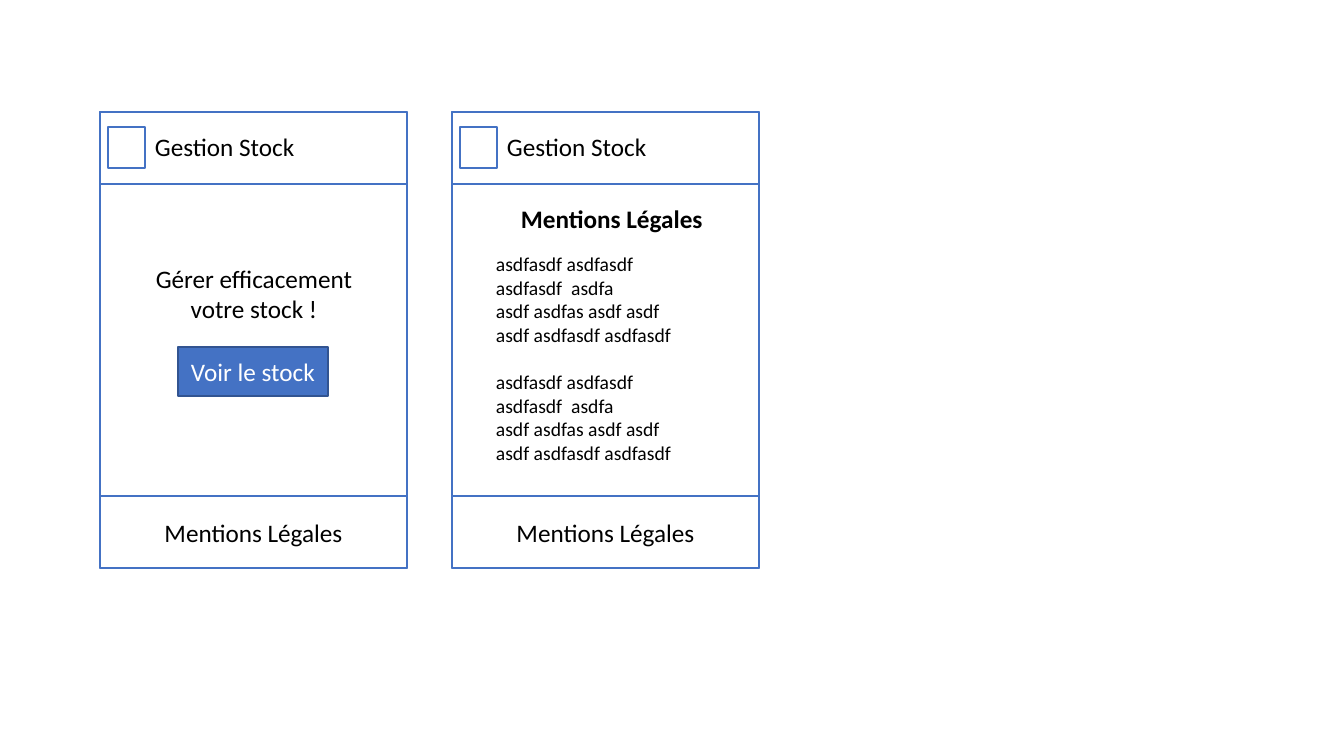
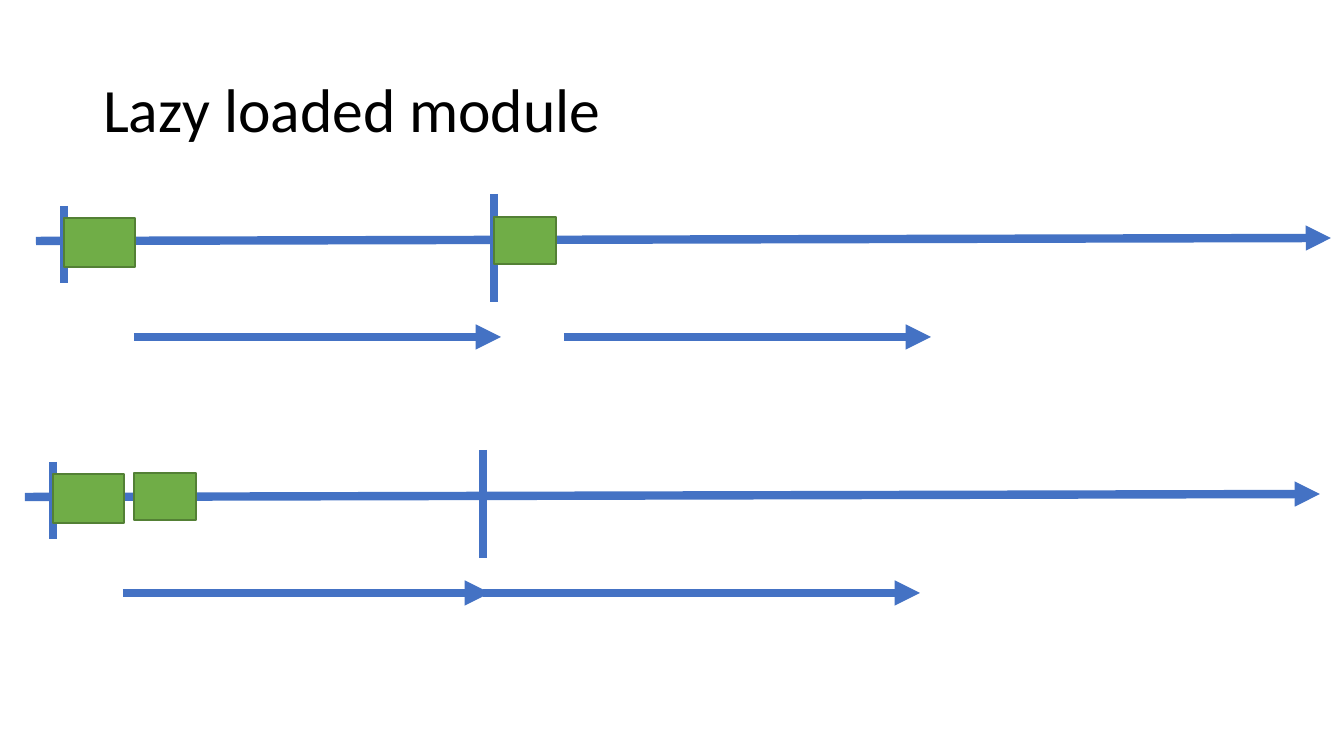
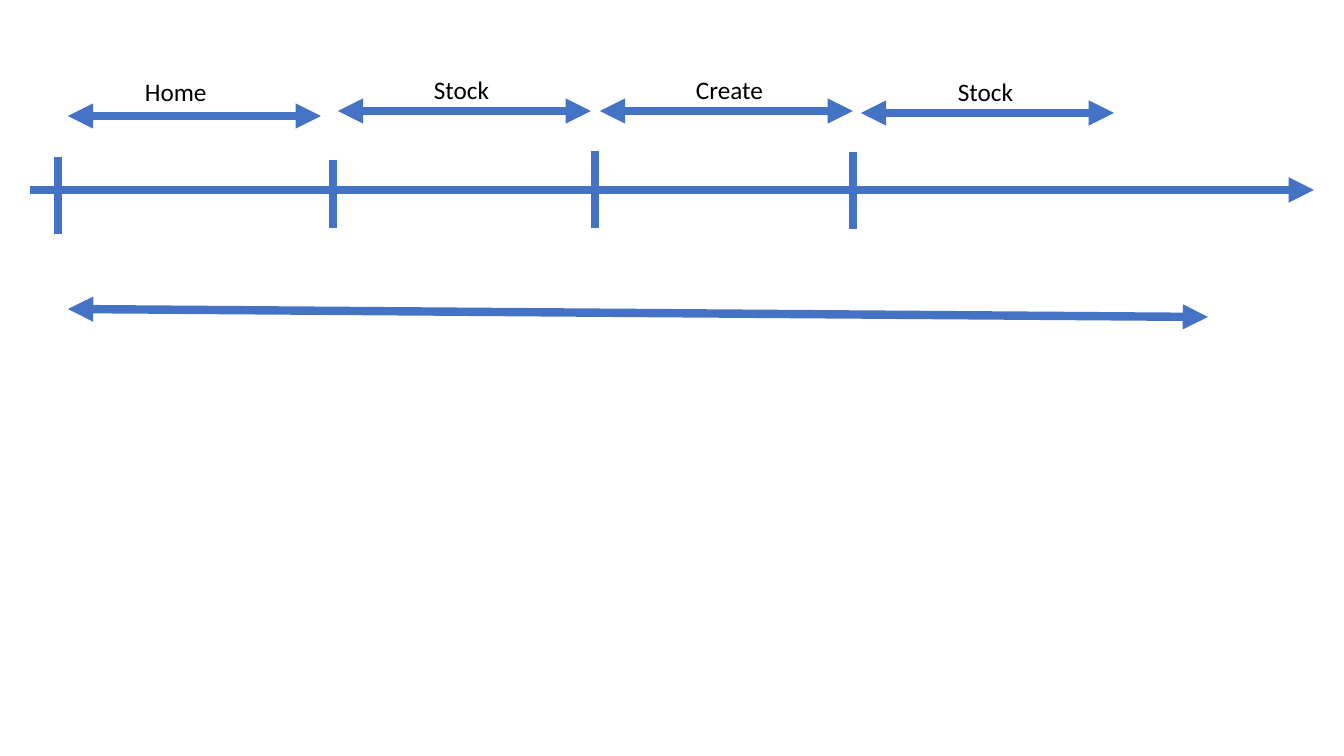
from lxml.etree import SubElement
from pptx import Presentation
from pptx.dml.color import RGBColor
from pptx.enum.shapes import MSO_CONNECTOR as Link, MSO_SHAPE as Kind
from pptx.enum.text import MSO_ANCHOR as Anchor, MSO_AUTO_SIZE as Auto, PP_ALIGN as Align
from pptx.oxml.ns import qn
from pptx.util import Pt

# Content, lengths in pixels
PIXEL = 914400 / 100.8
SIZE = (1344, 756)
BLUE, NAVY, GREEN, MOSS = "4472C4", "325491", "70AD47", "538035"
WHITE, BLACK = "FFFFFF", "000000"
FONT = "Calibri"

APP, LEGAL = "Gestion Stock", "Mentions Légales"
SLOGAN, BUTTON = "Gérer efficacement votre stock !", "Voir le stock"
VERSE = ["asdfasdf asdfasdf", "asdfasdf  asdfa",
         "asdf asdfas asdf asdf", "asdf asdfasdf asdfasdf"]
PHONES = (100, 452)
TOP, WIDE, HIGH, BAR = 112, 307, 456, 72

TITLE = "Lazy loaded module"
# shift right, shift down, second box left, second arrow left
LANES = [(0, 0, 494, 564), (-11, 256, 134, 483)]

# tick (x, top, bottom), arrow (left, y), label (text, left, width)
STEPS = [
    ((58, 157, 234), (68, 116), ("Home", 135, 83)),
    ((333, 160, 228), (338, 111), ("Stock", 424, 76)),
    ((595, 151, 228), (600, 111), ("Create", 686, 88)),
    ((853, 152, 229), (861, 113), ("Stock", 948, 76)),
]
SPAN, RISE = 253, 42


def px(*nums):
    """Turn pixels into EMU."""
    return [round(n * PIXEL) for n in nums]


def hue(code):
    """Turn a hex string into a colour."""
    return RGBColor.from_string(code)


def put(item, **values):
    """Set each named value on an item."""
    for name, value in values.items():
        setattr(item, name, value)


def write(shape, lines, size=18, color=BLACK, bold=False, **style):
    """Fill a shape with one paragraph per line."""
    frame = shape.text_frame
    for i, line in enumerate(lines):
        para = frame.add_paragraph() if i else frame.paragraphs[0]
        run = para.add_run()
        run.text = line
        put(para, **style)
        put(run.font, name=FONT, size=Pt(size), bold=bold)
        run.font.color.rgb = hue(color)
    return frame


def box(slide, at, fill=WHITE, edge=BLUE, text="", color=BLACK):
    """Draw a rectangle with optional centred text."""
    shape = slide.shapes.add_shape(Kind.RECTANGLE, *px(*at))
    shape.shadow.inherit = False
    shape.fill.solid()
    shape.fill.fore_color.rgb = hue(fill)
    shape.line.color.rgb = hue(edge)
    shape.line.width = Pt(1)
    if text:
        write(shape, [text], color=color, alignment=Align.CENTER)


def label(slide, at, lines, wrap=False, **style):
    """Add a text box that grows with its text."""
    frame = write(slide.shapes.add_textbox(*px(*at)), lines, **style)
    put(frame, word_wrap=wrap, auto_size=Auto.SHAPE_TO_FIT_TEXT)
    return frame


def line(slide, ends, heads=()):
    """Draw a thick line with arrowheads at the named ends."""
    link = slide.shapes.add_connector(Link.STRAIGHT, *px(*ends))
    link.line.color.rgb = hue(BLUE)
    link.line.width = Pt(6)
    for end in heads:
        SubElement(link.line._get_or_add_ln(), qn("a:" + end), type="triangle")
    SubElement(link._element.spPr, qn("a:effectLst"))


TAIL = ("tailEnd",)
BOTH = ("headEnd", "tailEnd")


def phone(slide, left):
    """Draw the screen frame with its header and footer."""
    box(slide, (left, TOP, WIDE, HIGH))
    box(slide, (left, TOP, WIDE, BAR))
    box(slide, (left, TOP + HIGH - BAR, WIDE, BAR), text=LEGAL)
    label(slide, (left + 45, 126, 161, 40), [APP])
    box(slide, (left + 8, 127, 37, 41))


def screens(slide):
    """Build the two app screens."""
    home, legal = PHONES
    phone(slide, home)
    box(slide, (home + 78, 347, 150, 49), BLUE, NAVY, BUTTON, WHITE)
    label(slide, (home + 20, 258, 268, 72), [SLOGAN], wrap=True,
          alignment=Align.CENTER)
    phone(slide, legal)
    label(slide, (legal + 59, 198, 204, 40), [LEGAL], bold=True)
    body = label(slide, (legal + 34, 247, 246, 254), VERSE * 2, wrap=True, size=14)
    body.paragraphs[len(VERSE)].space_before = Pt(17)


def lanes(slide):
    """Build the two loading timelines."""
    title = slide.shapes.title
    left, top, width, height = px(93, 40, 1159, 146)
    put(title, left=left, top=top, width=width, height=height)
    frame = write(title, [TITLE], size=44, alignment=Align.LEFT, line_spacing=0.9)
    put(frame, vertical_anchor=Anchor.MIDDLE, word_wrap=True, auto_size=Auto.NONE)
    for dx, dy, block, start in LANES:
        first, next_, end = 64 + dx, 494 + dx, 931 + dx
        line(slide, (36 + dx, 241 + dy, 1331 + dx, 238 + dy), TAIL)
        line(slide, (first, 206 + dy, first, 283 + dy))
        box(slide, (first, 218 + dy, 71, 49), GREEN, MOSS)
        line(slide, (next_, 194 + dy, next_, 302 + dy))
        box(slide, (block, 217 + dy, 62, 47), GREEN, MOSS)
        for x, stop in ((134 + dx, 501 + dx), (start, end)):
            line(slide, (x, 337 + dy, stop, 337 + dy), TAIL)


def steps(slide):
    """Build the page timeline."""
    line(slide, (30, 190, 1314, 190), TAIL)
    for (x, top, low), (left, y), (text, start, width) in STEPS:
        line(slide, (x, top, x, low))
        line(slide, (left, y, left + SPAN, y), BOTH)
        label(slide, (start, min(y, 113) - RISE, width, 40), [text])
    line(slide, (68, 309, 1208, 317), BOTH)


deck = Presentation()
deck.slide_width, deck.slide_height = px(*SIZE)
for build, layout in ((screens, 6), (lanes, 5), (steps, 6)):
    build(deck.slides.add_slide(deck.slide_layouts[layout]))
deck.save("out.pptx")
